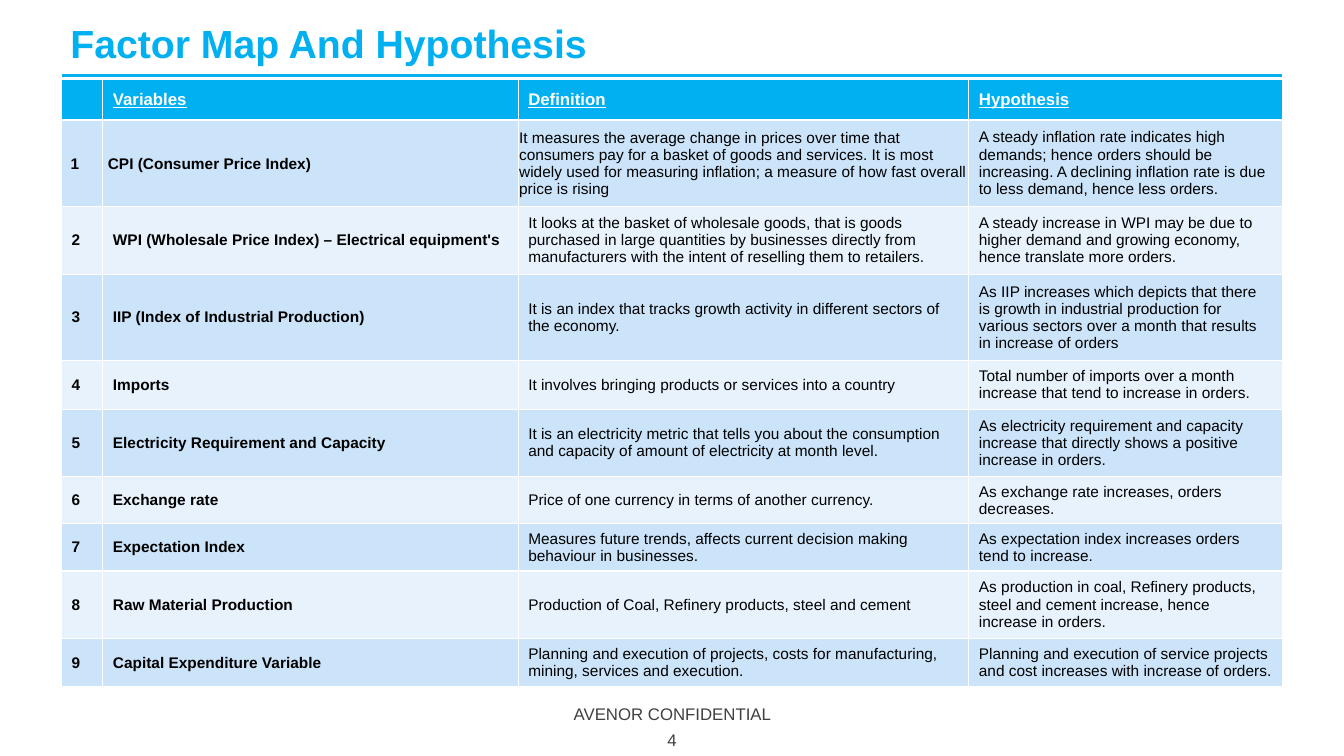
from dataclasses import dataclass

from lxml import etree
from pptx import Presentation
from pptx.dml.color import RGBColor
from pptx.enum.shapes import MSO_CONNECTOR
from pptx.enum.text import MSO_ANCHOR, PP_ALIGN
from pptx.oxml.ns import qn
from pptx.slide import Slide
from pptx.table import _Cell
from pptx.text.text import _Paragraph
from pptx.util import Inches, Pt

STRAIGHT = MSO_CONNECTOR.STRAIGHT
MIDDLE, BOTTOM = MSO_ANCHOR.MIDDLE, MSO_ANCHOR.BOTTOM
LEFT, CENTER = PP_ALIGN.LEFT, PP_ALIGN.CENTER

BLUE = RGBColor(0x00, 0xB0, 0xF0)
GREEN = RGBColor(0x92, 0xD0, 0x50)
GRAY = RGBColor(0x40, 0x40, 0x40)
WHITE = RGBColor(0xFF, 0xFF, 0xFF)
BLACK = RGBColor(0x00, 0x00, 0x00)
ODD_ROW = RGBColor(0xCC, 0xE4, 0xF9)
EVEN_ROW = RGBColor(0xE7, 0xF2, 0xFC)

FONT = "Arial"
COLUMN_WIDTHS = (0.41, 4.12, 4.47, 3.11)
HEADER_HEIGHT = 0.31
HEADINGS = ("", "Variables", "Definition", "Hypothesis")
TIGHT_MARGIN = 0.01
FIRST_ROW_LEFT_MARGINS = (0.09, 0.05, TIGHT_MARGIN)


@dataclass(frozen=True)
class TextStyle:
    size: int
    color: RGBColor
    bold: bool = False
    underline: bool = False


@dataclass(frozen=True)
class Label:
    text: str
    left: float
    top: float
    width: float
    height: float
    style: TextStyle
    anchor: MSO_ANCHOR = MIDDLE
    align: PP_ALIGN = CENTER
    line_spacing: float = 1.0


@dataclass(frozen=True)
class Rule:
    y: float
    color: RGBColor


@dataclass(frozen=True)
class Factor:
    height: float
    variable: str
    definition: str
    hypothesis: str


TITLE_STYLE = TextStyle(28, BLUE, bold=True)
FOOTER_STYLE = TextStyle(12, GRAY)
HEADING_STYLE = TextStyle(12, WHITE, bold=True, underline=True)
NAME_STYLE = TextStyle(11, BLACK, bold=True)
BODY_STYLE = TextStyle(11, BLACK)
FACTOR_STYLES = (NAME_STYLE, NAME_STYLE, BODY_STYLE, BODY_STYLE)

RULES = (Rule(6.75, GREEN), Rule(0.75, BLUE))
LABELS = (
    Label("AVENOR CONFIDENTIAL", 4.42, 6.93, 4.5, 0.3, FOOTER_STYLE),
    Label("4", 6.12, 7.21, 1.09, 0.25, FOOTER_STYLE),
    Label("Factor Map And Hypothesis", 0.6, 0.11, 11.74, 0.6, TITLE_STYLE,
          BOTTOM, LEFT, 0.9),
)
FACTORS = (
    Factor(0.86, "CPI (Consumer Price Index)",
           "It measures the average change in prices over time that consumers pay for a "
           "basket of goods and services. It is most widely used for measuring inflation; "
           "a measure of how fast overall price is rising",
           "A steady inflation rate indicates high demands; hence orders should be "
           "increasing. A declining inflation rate is due to less demand, hence less orders."),
    Factor(0.67, "WPI (Wholesale Price Index) – Electrical equipment's",
           "It looks at the basket of wholesale goods, that is goods purchased in large "
           "quantities by businesses directly from manufacturers with the intent of "
           "reselling them to retailers.",
           "A steady increase in WPI may be due to higher demand and growing economy, "
           "hence translate more orders."),
    Factor(0.86, "IIP (Index of Industrial Production)",
           "It is an index that tracks growth activity in different sectors of the economy.",
           "As IIP increases which depicts that there is growth in industrial production "
           "for various sectors over a month that results in increase of orders"),
    Factor(0.48, "Imports",
           "It involves bringing products or services into a country",
           "Total number of imports over a month increase that tend to increase in orders."),
    Factor(0.67, "Electricity Requirement and Capacity",
           "It is an electricity metric that tells you about the consumption and capacity "
           "of amount of electricity at month level.",
           "As electricity requirement and capacity increase that directly shows a "
           "positive increase in orders."),
    Factor(0.46, "Exchange rate",
           "Price of one currency in terms of another currency.",
           "As exchange rate increases, orders decreases."),
    Factor(0.46, "Expectation Index",
           "Measures future trends, affects current decision making behaviour in businesses.",
           "As expectation index increases orders tend to increase."),
    Factor(0.67, "Raw Material Production",
           "Production of Coal, Refinery products, steel and cement",
           "As production in coal, Refinery products, steel and cement increase, hence "
           "increase in orders."),
    Factor(0.48, "Capital Expenditure Variable",
           "Planning and execution of projects, costs for manufacturing, mining, services "
           "and execution.",
           "Planning and execution of service projects and cost increases with increase "
           "of orders."),
)


def add_run(paragraph: _Paragraph, text: str, style: TextStyle) -> None:
    run = paragraph.add_run()
    run.text = text
    run.font.name = FONT
    run.font.size = Pt(style.size)
    run.font.bold = style.bold
    run.font.underline = style.underline
    run.font.color.rgb = style.color


def add_rule(slide: Slide, rule: Rule) -> None:
    connector = slide.shapes.add_connector(
        STRAIGHT, Inches(0.62), Inches(rule.y), Inches(12.72), Inches(rule.y))
    connector.line.color.rgb = rule.color
    connector.line.width = Pt(2.25)
    etree.SubElement(connector._element.spPr, qn("a:effectLst"))


def add_label(slide: Slide, label: Label) -> None:
    shape = slide.shapes.add_textbox(
        Inches(label.left), Inches(label.top), Inches(label.width), Inches(label.height))
    frame = shape.text_frame
    frame.word_wrap = True
    frame.vertical_anchor = label.anchor
    paragraph = frame.paragraphs[0]
    paragraph.alignment = label.align
    paragraph.line_spacing = label.line_spacing
    add_run(paragraph, label.text, label.style)


def fill_cell(cell: _Cell, text: str, style: TextStyle, color: RGBColor) -> None:
    cell.fill.solid()
    cell.fill.fore_color.rgb = color
    cell.vertical_anchor = MIDDLE
    if text:
        add_run(cell.text_frame.paragraphs[0], text, style)


def add_factor_table(slide: Slide) -> None:
    heights = (HEADER_HEIGHT, *(factor.height for factor in FACTORS))
    table = slide.shapes.add_table(
        len(heights), len(COLUMN_WIDTHS), Inches(0.61), Inches(0.79),
        Inches(sum(COLUMN_WIDTHS)), Inches(sum(heights))).table
    for column, width in zip(table.columns, COLUMN_WIDTHS):
        column.width = Inches(width)
    for row, height in zip(table.rows, heights):
        row.height = Inches(height)

    for index, heading in enumerate(HEADINGS):
        fill_cell(table.cell(0, index), heading, HEADING_STYLE, BLUE)
    for number, factor in enumerate(FACTORS, start=1):
        color = ODD_ROW if number % 2 else EVEN_ROW
        texts = (str(number), factor.variable, factor.definition, factor.hypothesis)
        for index, (text, style) in enumerate(zip(texts, FACTOR_STYLES)):
            fill_cell(table.cell(number, index), text, style, color)

    for index, margin in enumerate(FIRST_ROW_LEFT_MARGINS):
        cell = table.cell(1, index)
        cell.margin_left = Inches(margin)
        cell.margin_right = cell.margin_top = Inches(TIGHT_MARGIN)
        cell.margin_bottom = 0


def main() -> None:
    presentation = Presentation()
    presentation.slide_width = Inches(13.33)
    presentation.slide_height = Inches(7.5)
    slide = presentation.slides.add_slide(presentation.slide_layouts[6])
    for rule in RULES:
        add_rule(slide, rule)
    for label in LABELS:
        add_label(slide, label)
    add_factor_table(slide)
    presentation.save("out.pptx")


if __name__ == "__main__":
    main()
